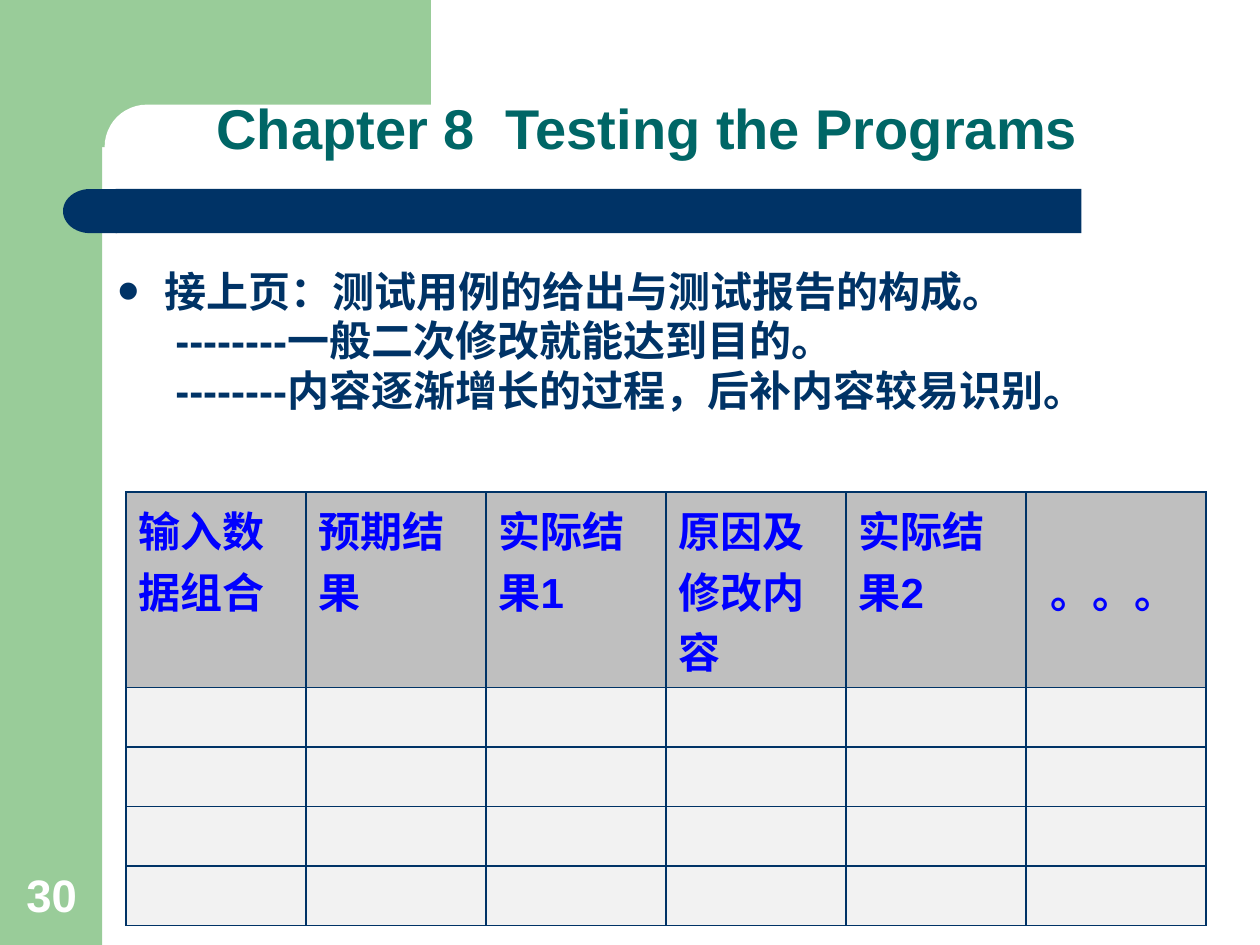
"""Build the chapter 8 slide on test cases and the test report table."""
from lxml import etree
from pptx import Presentation
from pptx import util as u
from pptx.dml.color import RGBColor
from pptx.enum import shapes, text
from pptx.oxml import ns

GREEN = RGBColor(0x99, 0xCC, 0x99)
NAVY = RGBColor(0x00, 0x33, 0x66)
TEAL = RGBColor(0x00, 0x66, 0x66)
BLUE = RGBColor(0x00, 0x00, 0xFF)
WHITE = RGBColor(0xFF, 0xFF, 0xFF)
HEADER_GREY = RGBColor(0xBF, 0xBF, 0xBF)
ROW_GREY = RGBColor(0xF2, 0xF2, 0xF2)

POINTS = [
    "接上页：测试用例的给出与测试报告的构成。",
    "--------一般二次修改就能达到目的。",
    "--------内容逐渐增长的过程，后补内容较易识别。",
]
HEADINGS = ["输入数据组合", "预期结果", "实际结果1", "原因及修改内容", "实际结果2", "。。。"]


def child(parent, tag, **attributes):
    return etree.SubElement(parent, ns.qn(tag), {k: str(v) for k, v in attributes.items()})


def write(paragraph, words, size=24, color=NAVY, align=text.PP_ALIGN.LEFT,
          left=0, hanging=0, bullet=None, spacing=None, before=0):
    props = paragraph._p.get_or_add_pPr()
    props.set("marL", str(u.Cm(left)))
    props.set("indent", str(-u.Cm(hanging)))
    if bullet:
        child(child(props, "a:buClr"), "a:srgbClr", val=color)
        child(props, "a:buSzPct", val=150000)
        child(props, "a:buFont", typeface="Arial")
        child(props, "a:buChar", char=bullet)
    else:
        child(props, "a:buNone")
    paragraph.alignment = align
    paragraph.space_before = u.Pt(before)
    if spacing:
        paragraph.line_spacing = spacing
    run = paragraph.add_run()
    run.text = words
    run.font.name = "Arial"
    run.font.size = u.Pt(size)
    run.font.bold = True
    run.font.color.rgb = color


class Deck:
    def __init__(self, slide):
        self.slide = slide
        self.border = u.Pt(1)

    def block(self, kind, color, left, top, width, height):
        block = self.slide.shapes.add_shape(kind, *map(u.Cm, (left, top, width, height)))
        block.shadow.inherit = False
        block.fill.solid()
        block.fill.fore_color.rgb = color
        block.line.fill.background()
        return block

    def place(self, holder, left, top, width, height, anchor):
        holder.left, holder.top, holder.width, holder.height = map(
            u.Cm, (left, top, width, height))
        frame = holder.text_frame
        frame.word_wrap = True
        frame.auto_size = text.MSO_AUTO_SIZE.NONE
        frame.vertical_anchor = anchor
        self.slide.shapes.element.append(holder.element)
        return frame

    def title(self, words, *box):
        frame = self.place(self.slide.shapes.title, *box, text.MSO_ANCHOR.BOTTOM)
        write(frame.paragraphs[0], words, size=32, color=TEAL, left=1.57, spacing=0.9)

    def points(self, lines, *box):
        frame = self.place(self.slide.placeholders[1], *box, text.MSO_ANCHOR.TOP)
        write(frame.paragraphs[0], lines[0], left=0.95, hanging=0.95, bullet="•", spacing=0.9)
        for line in lines[1:]:
            write(frame.add_paragraph(), line, left=1.17, spacing=0.9, before=2.4)

    def page_number(self, words, *box):
        number = self.slide.shapes.add_textbox(0, 0, 0, 0)
        frame = self.place(number, *box, text.MSO_ANCHOR.BOTTOM)
        write(frame.paragraphs[0], words, size=26, color=WHITE, align=text.PP_ALIGN.CENTER)

    def cell(self, cell, color):
        props = cell._tc.get_or_add_tcPr()
        for side in ("a:lnL", "a:lnR", "a:lnT", "a:lnB"):
            line = child(props, side, w=self.border)
            child(child(line, "a:solidFill"), "a:srgbClr", val=NAVY)
        cell.fill.solid()
        cell.fill.fore_color.rgb = color

    def report(self, headings, blank_rows, left, top, width, header_height, row_height):
        height = header_height + blank_rows * row_height
        report = self.slide.shapes.add_table(
            blank_rows + 1, len(headings), *map(u.Cm, (left, top, width, height))).table
        report.first_row = report.horz_banding = False
        for index, row in enumerate(report.rows):
            row.height = u.Cm(row_height if index else header_height)
            for cell in row.cells:
                self.cell(cell, ROW_GREY if index else HEADER_GREY)
        for cell, heading in zip(report.rows[0].cells, headings):
            write(cell.text_frame.paragraphs[0], heading, color=BLUE)
        more = report.cell(0, len(headings) - 1)
        more.vertical_anchor = text.MSO_ANCHOR.MIDDLE
        more.margin_left = u.Cm(0.49)


def main():
    presentation = Presentation()
    presentation.slide_width, presentation.slide_height = u.Cm(25.4), u.Cm(19.05)
    deck = Deck(presentation.slides.add_slide(presentation.slide_layouts[1]))
    kinds = shapes.MSO_SHAPE
    deck.block(kinds.RECTANGLE, GREEN, 0, 0, 2.06, 19.05)
    deck.block(kinds.RECTANGLE, GREEN, 1.85, 0, 6.84, 2.97)
    panel = deck.block(kinds.ROUNDED_RECTANGLE, WHITE, 2.11, 2.11, 14.17, 1.7)
    panel.adjustments[0] = 0.5
    deck.block(kinds.RECTANGLE, NAVY, 2.33, 3.81, 19.47, 0.89)
    bar_end = deck.block(kinds.FLOWCHART_DELAY, NAVY, 1.27, 3.81, 1.09, 0.89)
    bar_end.rotation = 180
    deck.title("Chapter 8  Testing the Programs", 2.54, 1.06, 22.23, 2.33)
    deck.points(POINTS, 2.11, 5.33, 23.29, 4.83)
    deck.page_number("30", 0.23, 17.35, 1.63, 1.35)
    deck.report(HEADINGS, 4, 2.54, 9.92, 21.77, 3.94, 1.2)
    presentation.save("out.pptx")


if __name__ == "__main__":
    main()
